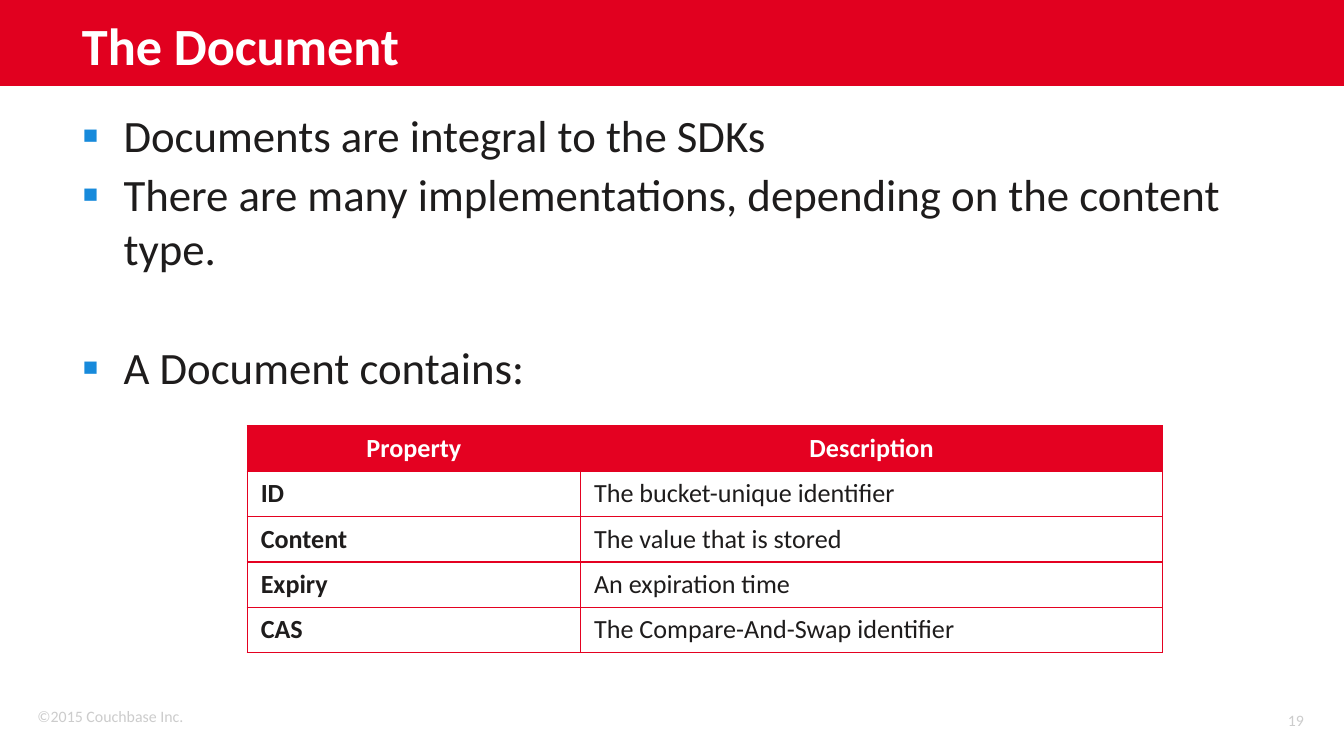
from pptx import Presentation
from pptx.dml.color import RGBColor
from pptx.enum.shapes import MSO_SHAPE as Shape
from pptx.enum.text import MSO_ANCHOR as Anchor, MSO_AUTO_SIZE as Fit, PP_ALIGN as Align
from pptx.oxml import parse_xml
from pptx.oxml.ns import nsdecls
from pptx.util import Inches, Pt

COLORS = {
    "bar": "E1001F", "table": "E40121", "text": "1E1C1C",
    "white": "FFFFFF", "muted": "CCCCCC", "bullet": "178ADB",
}


def rgb(name):
    return RGBColor.from_string(COLORS[name])


class Deck:
    face = "Calibri"

    def __init__(self, wide, high):
        self.prs = Presentation()
        self.prs.slide_width, self.prs.slide_height = Inches(wide), Inches(high)
        self.slide = self.prs.slides.add_slide(self.prs.slide_layouts[1])

    def place(self, shape, box):
        shape.left, shape.top, shape.width, shape.height = map(Inches, box)

    def style(self, para, size, color, bold=False):
        font = para.font
        font.name, font.size, font.bold = self.face, Pt(size), bold
        font.color.rgb = rgb(color)

    def bar(self, box, color):
        shape = self.slide.shapes.add_shape(Shape.RECTANGLE, *map(Inches, box))
        shape.shadow.inherit = False
        shape.fill.solid()
        shape.fill.fore_color.rgb = rgb(color)
        shape.line.fill.background()
        # Keep the bar behind the placeholders
        tree = shape.element.getparent()
        tree.insert(2, shape.element)

    def title(self, box, text):
        shape = self.slide.shapes.title
        self.place(shape, box)
        frame = shape.text_frame
        frame.text = text
        frame.auto_size, frame.vertical_anchor = Fit.NONE, Anchor.BOTTOM
        para = frame.paragraphs[0]
        para.alignment, para.line_spacing = Align.LEFT, 0.8
        self.style(para, 28, "white", True)

    def body(self, box, items):
        shape = self.slide.placeholders[1]
        self.place(shape, box)
        frame = shape.text_frame
        frame.text = "\n".join(text for text, gap in items)
        frame.auto_size = Fit.NONE
        for para, (text, gap) in zip(frame.paragraphs, items):
            props = para._p.get_or_add_pPr()
            props.set("marL", str(Inches(0.31)))
            props.set("indent", str(-Inches(0.31)))
            for xml in (
                f'<a:buClr {nsdecls("a")}><a:srgbClr val="{COLORS["bullet"]}"/></a:buClr>',
                f'<a:buSzPct {nsdecls("a")} val="110000"/>',
                f'<a:buChar {nsdecls("a")} char="▪"/>',
            ):
                props.append(parse_xml(xml))
            para.space_before, para.space_after = Pt(gap), Pt(3)
            self.style(para, 24, "text")

    def note(self, box, text, align, anchor, wrap):
        frame = self.slide.shapes.add_textbox(*map(Inches, box)).text_frame
        frame.text = text
        frame.word_wrap, frame.vertical_anchor = wrap, anchor
        para = frame.paragraphs[0]
        para.alignment = align
        self.style(para, 8.5, "muted")

    def edge(self, cell):
        props = cell._tc.get_or_add_tcPr()
        for side in "LRTB":
            props.append(parse_xml(
                f'<a:ln{side} {nsdecls("a")} w="{Pt(0.75)}"><a:solidFill>'
                f'<a:srgbClr val="{COLORS["table"]}"/></a:solidFill></a:ln{side}>'))

    def table(self, left, top, cols, high, rows):
        box = (left, top, sum(cols), high * len(rows))
        grid = self.slide.shapes.add_table(len(rows), len(cols), *map(Inches, box)).table
        for col, wide in zip(grid.columns, cols):
            col.width = Inches(wide)
        for r, row in enumerate(rows):
            head = r == 0
            for c, text in enumerate(row):
                cell = grid.cell(r, c)
                cell.text = text
                # The header row and the first property sit mid-cell
                if head or (r, c) == (1, 0):
                    cell.vertical_anchor = Anchor.MIDDLE
                self.edge(cell)
                if head:
                    cell.fill.solid()
                    cell.fill.fore_color.rgb = rgb("table")
                else:
                    cell.fill.background()
                para = cell.text_frame.paragraphs[0]
                para.alignment = Align.CENTER if head else Align.LEFT
                self.style(para, 14, "white" if head else "text", head or c == 0)


def main():
    # Widescreen page
    wide = 10
    deck = Deck(wide, wide * 9 / 16)

    # Header
    deck.bar((0, 0, wide, 0.64), "bar")
    deck.title((0.51, 0.02, 8.75, 0.59), "The Document")

    # Points, each with the space before it
    deck.body((0.51, 0.75, 8.75, 2.33), [
        ("Documents are integral to the SDKs", 0),
        ("There are many implementations, depending on the content type.", 0),
        ("A Document contains:", 32),
    ])

    # Property table
    deck.table(1.84, 3.17, (2.48, 4.33), 0.33, [
        ("Property", "Description"),
        ("ID", "The bucket-unique identifier"),
        ("Content", "The value that is stored"),
        ("Expiry", "An expiration time"),
        ("CAS", "The Compare-And-Swap identifier"),
    ])

    # Footer
    deck.note((0.18, 5.21, 1.29, 0.24), "©2015 Couchbase Inc.", Align.LEFT, Anchor.TOP, False)
    deck.note((8.99, 5.21, 0.81, 0.3), "19", Align.RIGHT, Anchor.MIDDLE, True)

    deck.prs.save("out.pptx")


if __name__ == "__main__":
    main()
